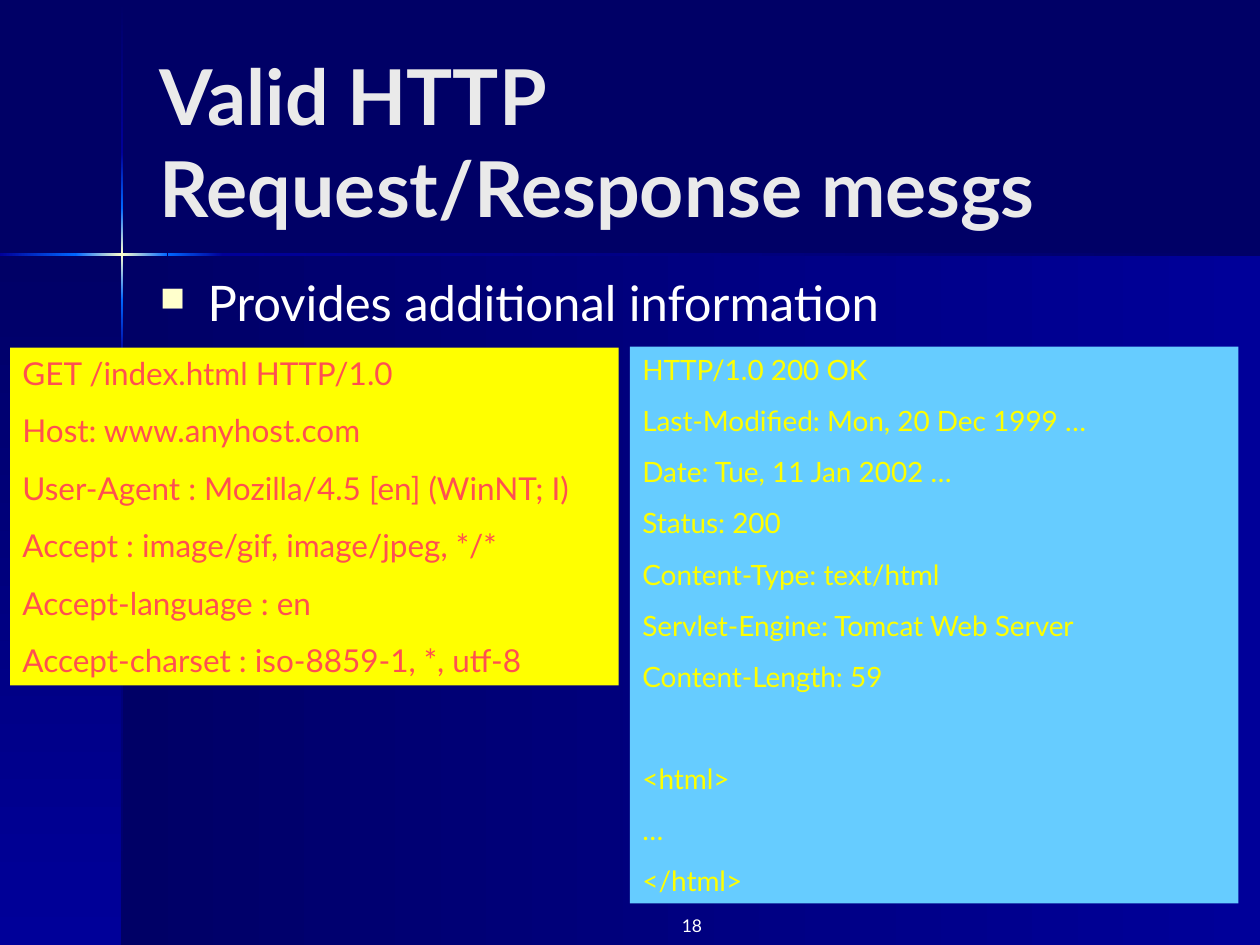
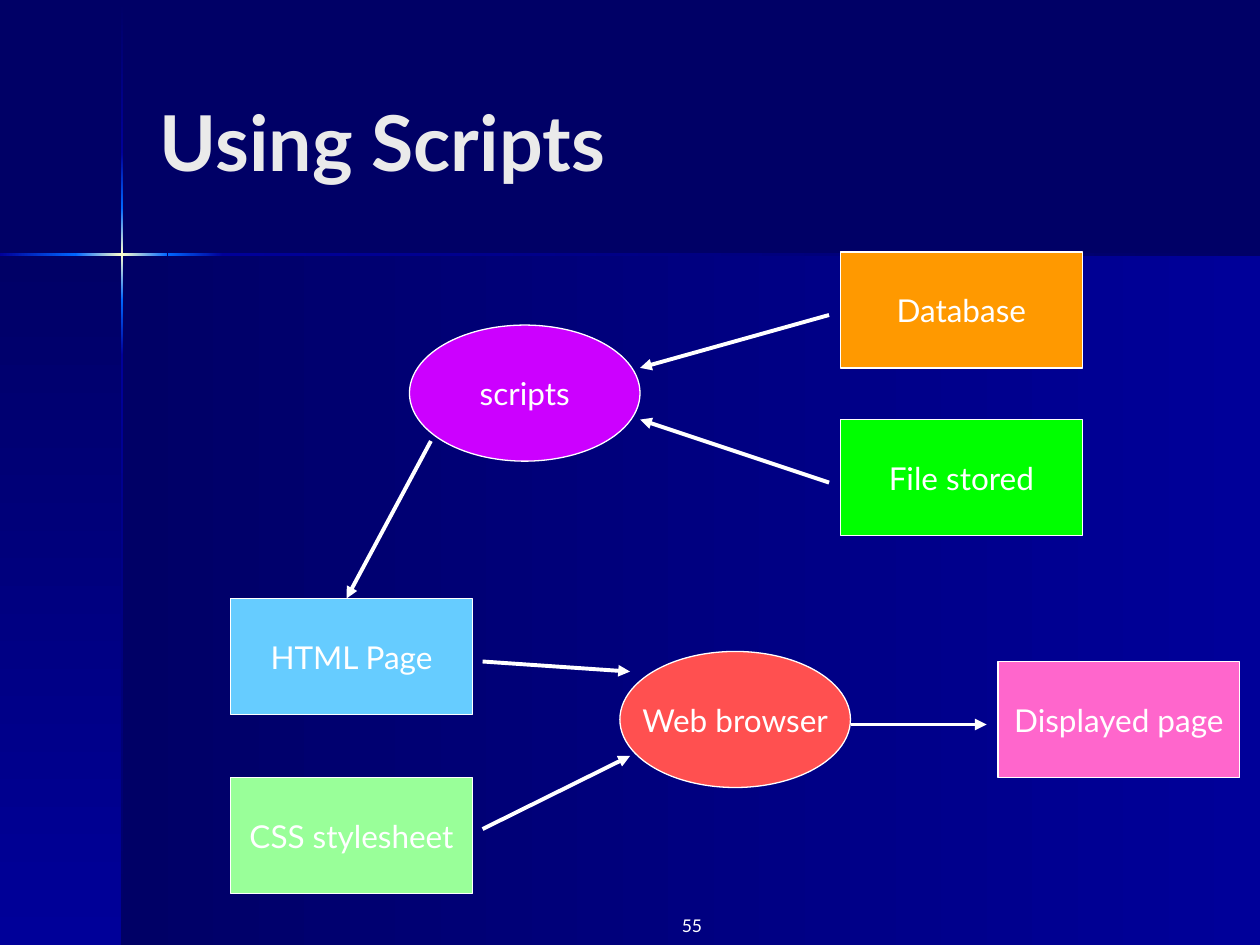
import copy
import itertools

import lxml.etree
import pptx
import pptx.dml.color
import pptx.enum.shapes
import pptx.enum.text
import pptx.oxml.ns
import pptx.util

Inches = pptx.util.Inches
Pt = pptx.util.Pt
RGB = pptx.dml.color.RGBColor.from_string
qn = pptx.oxml.ns.qn
SHAPE = pptx.enum.shapes.MSO_SHAPE
ALIGN = pptx.enum.text.PP_ALIGN
ANCHOR = pptx.enum.text.MSO_ANCHOR
AUTO_SIZE = pptx.enum.text.MSO_AUTO_SIZE


class Theme:
    font = "Lato"
    night = "000066"
    navy = "000099"
    azure = "0066FF"
    cream = "FFFFCC"
    title = "EAEAEA"
    white = "FFFFFF"
    yellow = "FFFF00"
    sky = "66CCFF"
    red = "FF5050"
    mint = "99FF99"
    pink = "FF66CC"
    orange = "FF9900"
    green = "00FF00"
    violet = "CC00FF"
    title_size = 44
    body_size = 28
    label_size = 18
    response_size = 16
    number_size = 10


def add_block(slide, outline, box, fill_colors, vertical=False):
    block = slide.shapes.add_shape(outline, *map(Inches, box))
    block.shadow.inherit = False
    block.line.fill.background()
    if len(fill_colors) == 1:
        block.fill.solid()
        block.fill.fore_color.rgb = RGB(fill_colors[0])
        return block
    block.fill.gradient()
    block.fill.gradient_angle = 270 if vertical else 0
    first_stop = block.element.spPr.find(".//" + qn("a:gs"))
    for _ in fill_colors[2:]:
        first_stop.addnext(copy.deepcopy(first_stop))
    for index, (stop, color) in enumerate(zip(block.fill.gradient_stops, fill_colors)):
        stop.color.rgb = RGB(color)
        stop.position = index / (len(fill_colors) - 1)
    return block


def write(frame, lines, size, color, align=ALIGN.LEFT, anchor=ANCHOR.TOP, wrap=True, gap=0):
    frame.word_wrap = wrap
    frame.vertical_anchor = anchor
    frame.text = "\n".join(lines)
    for index, paragraph in enumerate(frame.paragraphs):
        paragraph.alignment = align
        if index and gap:
            paragraph.space_before = Pt(gap)
        for run in paragraph.runs:
            run.font.name = Theme.font
            run.font.size = Pt(size)
            run.font.color.rgb = RGB(color)


deck = pptx.Presentation()
deck.slide_width = Inches(10)
deck.slide_height = Inches(7.5)
deck.slide_master.background.fill.solid()
deck.slide_master.background.fill.fore_color.rgb = RGB(Theme.night)

beam_colors = [
    (Theme.night, Theme.navy),
    (Theme.navy, Theme.azure),
    (Theme.azure, Theme.cream, Theme.azure),
    (Theme.azure, Theme.navy),
    (Theme.navy, Theme.night),
]
vertical_ticks = [0.01, 1.21, 1.65, 2.38, 2.82, 7.5]
horizontal_ticks = [0, 0.6, 1.33, 1.77, 10]

slides = []
for heading, number in [("Valid HTTP Request/Response mesgs", "18"), ("Using Scripts", "55")]:
    slide = deck.slides.add_slide(deck.slide_layouts[6])
    slides.append(slide)
    add_block(slide, SHAPE.RECTANGLE, (0.97, 2.02, 9.03, 5.48), (Theme.night, Theme.navy))
    add_block(slide, SHAPE.RECTANGLE, (0, 2.02, 0.97, 5.48), (Theme.night, Theme.navy), True)
    for (top, bottom), colors in zip(itertools.pairwise(vertical_ticks), beam_colors):
        add_block(slide, SHAPE.RECTANGLE, (0.96, top, 0.02, bottom - top), colors, True)
    for (left, right), colors in zip(itertools.pairwise(horizontal_ticks), beam_colors[1:]):
        add_block(slide, SHAPE.RECTANGLE, (left, 2.01, right - left, 0.02), colors)

    title = slide.shapes.add_textbox(*map(Inches, (1.17, 0.33, 8.25, 1.57))).text_frame
    write(title, [heading], Theme.title_size, Theme.title, anchor=ANCHOR.MIDDLE)
    title.paragraphs[0].runs[0].font.bold = True
    page = slide.shapes.add_textbox(*map(Inches, (5, 7.21, 0.67, 0.24))).text_frame
    write(page, [number], Theme.number_size, Theme.white, ALIGN.RIGHT)

messages, scripting = slides

point = messages.shapes.add_textbox(*map(Inches, (1.17, 2.17, 8.58, 0.58))).text_frame
write(point, ["Provides additional information"], Theme.body_size, Theme.white)
point.paragraphs[0].line_spacing = 0.9
properties = point.paragraphs[0]._p.get_or_add_pPr()
properties.set("marL", str(Inches(0.38)))
properties.set("indent", str(-Inches(0.38)))
bullet_color = lxml.etree.SubElement(properties, qn("a:buClr"))
lxml.etree.SubElement(bullet_color, qn("a:srgbClr"), val=Theme.cream)
lxml.etree.SubElement(properties, qn("a:buSzPct"), val="70000")
lxml.etree.SubElement(properties, qn("a:buChar"), char="■")

request_lines = [
    "GET /index.html HTTP/1.0",
    "Host: www.anyhost.com",
    "User-Agent : Mozilla/4.5 [en] (WinNT; I)",
    "Accept : image/gif, image/jpeg, */*",
    "Accept-language : en",
    "Accept-charset : iso-8859-1, *, utf-8",
]
response_lines = [
    "HTTP/1.0 200 OK",
    "Last-Modified: Mon, 20 Dec 1999 …",
    "Date: Tue, 11 Jan 2002 …",
    "Status: 200",
    "Content-Type: text/html",
    "Servlet-Engine: Tomcat Web Server",
    "Content-Length: 59",
    "<html>",
    "…",
    "</html>",
]
request = add_block(messages, SHAPE.RECTANGLE, (0.08, 2.76, 4.83, 2.68), [Theme.yellow]).text_frame
write(request, request_lines, Theme.label_size, Theme.red, gap=11.2)
response = add_block(messages, SHAPE.RECTANGLE, (5, 2.75, 4.83, 4.42), [Theme.sky]).text_frame
write(response, response_lines, Theme.response_size, Theme.yellow, gap=10)
response.paragraphs[response_lines.index("<html>")].space_before = Pt(39.2)
for message in (request, response):
    message.auto_size = AUTO_SIZE.SHAPE_TO_FIT_TEXT

box_size = (1.92, 0.92)
oval_size = (1.83, 1.08)
stages = [
    ("HTML Page", SHAPE.RECTANGLE, (1.83, 4.75), box_size, Theme.sky),
    ("CSS stylesheet", SHAPE.RECTANGLE, (1.83, 6.17), box_size, Theme.mint),
    ("Web browser", SHAPE.OVAL, (4.92, 5.17), oval_size, Theme.red),
    ("Displayed page", SHAPE.RECTANGLE, (7.92, 5.25), box_size, Theme.pink),
    ("Database", SHAPE.RECTANGLE, (6.67, 2), box_size, Theme.orange),
    ("File stored", SHAPE.RECTANGLE, (6.67, 3.33), box_size, Theme.green),
    ("scripts", SHAPE.OVAL, (3.25, 2.58), oval_size, Theme.violet),
]
for label, outline, corner, size, color in stages:
    stage = add_block(scripting, outline, corner + size, [color])
    stage.line.color.rgb = RGB(Theme.white)
    stage.line.width = Pt(0.75)
    write(stage.text_frame, [label], Theme.label_size, Theme.white,
          ALIGN.CENTER, ANCHOR.MIDDLE, wrap=False)

flows = [
    (3.83, 5.25, 5, 5.33),
    (3.83, 6.58, 5, 6),
    (6.75, 5.75, 7.83, 5.75),
    (6.58, 2.5, 5.08, 2.92),
    (6.58, 3.83, 5.08, 3.33),
    (3.42, 3.5, 2.75, 4.75),
]
for ends in flows:
    flow = scripting.shapes.add_connector(
        pptx.enum.shapes.MSO_CONNECTOR.STRAIGHT, *map(Inches, ends))
    flow.line.color.rgb = RGB(Theme.white)
    flow.line.width = Pt(2.25)
    lxml.etree.SubElement(flow.line._get_or_add_ln(), qn("a:tailEnd"), type="triangle")
    lxml.etree.SubElement(flow.element.spPr, qn("a:effectLst"))

deck.save("out.pptx")
